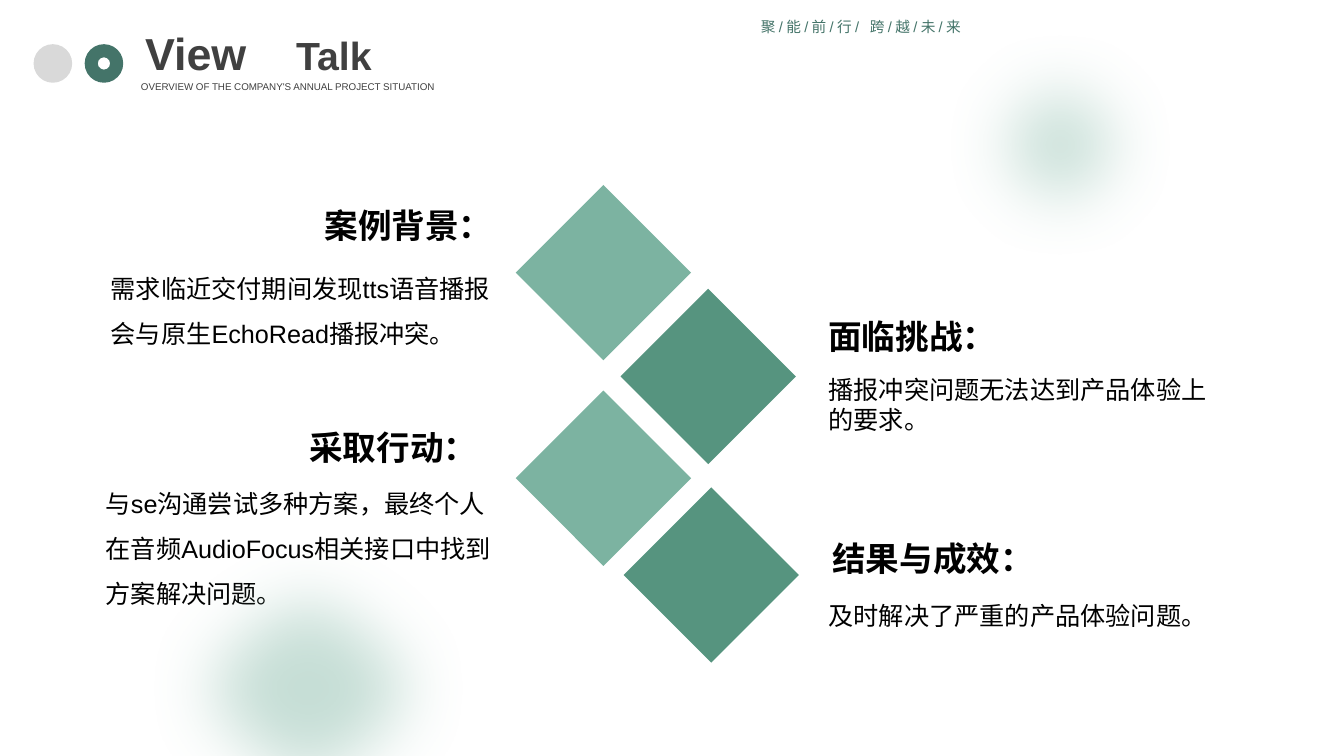
from lxml.etree import SubElement
from pptx import Presentation
from pptx.dml.color import RGBColor
from pptx.enum.shapes import MSO_SHAPE
from pptx.enum.text import MSO_AUTO_SIZE, PP_ALIGN
from pptx.oxml.ns import qn
from pptx.util import Inches, Pt

COLORS = {
    "grey": "D9D9D9",
    "deep": "447469",
    "mint": "7CB3A1",
    "green": "56947F",
    "title": "404040",
    "body": "000000",
}


class Board:
    """Draws on one slide; every box is (left, top, width, height) in percent of it."""

    font = "Arial"

    def __init__(self, deck):
        self.deck = deck
        self.slide = deck.slides.add_slide(deck.slide_layouts[6])

    def place(self, box):
        wide, high = self.deck.slide_width, self.deck.slide_height
        return [int(part * side / 100) for part, side in zip(box, (wide, high) * 2)]

    def shape(self, kind, box, color, turn=0):
        item = self.slide.shapes.add_shape(kind, *self.place(box))
        item.shadow.inherit = False
        item.fill.solid()
        item.fill.fore_color.rgb = RGBColor.from_string(COLORS[color])
        item.line.fill.background()
        item.rotation = turn
        return item

    def glow(self, box):
        """Add a translucent ellipse with soft edges."""
        props = self.shape(MSO_SHAPE.OVAL, box, "mint")._element.spPr
        tint = props.find(qn("a:solidFill"))[0]
        SubElement(tint, qn("a:alpha"), val="43000")
        effects = props.find(qn("a:effectLst"))
        SubElement(effects, qn("a:softEdge"), rad=str(Pt(50)))

    def text(self, box, words, size, color="body", bold=False, lead=None, align=None):
        frame = self.slide.shapes.add_textbox(*self.place(box)).text_frame
        frame.word_wrap = True
        frame.auto_size = MSO_AUTO_SIZE.SHAPE_TO_FIT_TEXT
        para = frame.paragraphs[0]
        para.text = words
        para.alignment = align
        para.line_spacing = lead
        para.font.name = self.font
        para.font.size = Pt(size)
        para.font.bold = bold
        para.font.color.rgb = RGBColor.from_string(COLORS[color])
        return para

    def topic(self, head_box, head, body_box, body, head_lead=1.5, body_lead=1.5):
        self.text(head_box, head, 24, bold=True, lead=head_lead)
        self.text(body_box, body, 18, lead=body_lead)

    def title(self, box, first, second):
        """Add a title whose second, smaller word stands at a tab stop."""
        para = self.text(box, first + "\t", 32, "title", True, align=PP_ALIGN.JUSTIFY)
        props = para._p.get_or_add_pPr()
        tabs = SubElement(props, qn("a:tabLst"))
        SubElement(tabs, qn("a:tab"), pos=str(Inches(1.5)), algn="l")
        props.insert(0, tabs)
        run = para.add_run()
        run.text = second
        run.font.size = Pt(28)


def main():
    deck = Presentation()
    deck.slide_width, deck.slide_height = Inches(13.333), Inches(7.5)
    board = Board(deck)

    board.shape(MSO_SHAPE.OVAL, (2.5, 5.85, 2.87, 5.1), "grey")
    ring = board.shape(MSO_SHAPE.DONUT, (6.3, 5.85, 2.87, 5.1), "deep")
    ring.adjustments[0] = 0.34
    board.text((9.75, 10, 37.35, 2.93),
               "OVERVIEW OF THE COMPANY'S ANNUAL PROJECT SITUATION",
               7, "title", align=PP_ALIGN.JUSTIFY)

    diamonds = [(40.28, 27.87, "mint"), (48.08, 41.6, "green"),
                (40.28, 55.07, "mint"), (48.3, 67.87, "green")]
    for left, top, color in diamonds:
        board.shape(MSO_SHAPE.RECTANGLE, (left, top, 9.23, 16.4), color, 45)

    board.topic((60.9, 41.07, 15, 6.67), "面临挑战：",
                (60.9, 48.8, 30.3, 9.47), "播报冲突问题无法达到产品体验上的要求。",
                None, None)
    board.topic((61.2, 67.87, 15, 9.47), "结果与成效：",
                (60.9, 76.8, 30.3, 7.33), "及时解决了严重的产品体验问题。")
    board.topic((23.4, 23.73, 15.3, 9.47), "案例背景：",
                (7.5, 33.47, 30.9, 13.47),
                "需求临近交付期间发现tts语音播报会与原生EchoRead播报冲突。")
    board.topic((22.28, 53.2, 15, 9.47), "采取行动：",
                (7.13, 61.87, 30.3, 19.47),
                "与se沟通尝试多种方案，最终个人在音频AudioFocus相关接口中找到方案解决问题。")

    board.title((10.05, 2.8, 29.55, 8.53), "View", "Talk")
    board.glow((68.1, 0, 21.53, 38.27))
    board.glow((9.15, 68.4, 27.6, 45.2))
    motto = board.text((55.88, 1.73, 40.73, 3.73), "聚/能/前/行/ 跨/越/未/来",
                       10.5, "deep", align=PP_ALIGN.JUSTIFY)
    motto.runs[0].font._element.set("spc", "240")

    deck.save("out.pptx")


if __name__ == "__main__":
    main()
